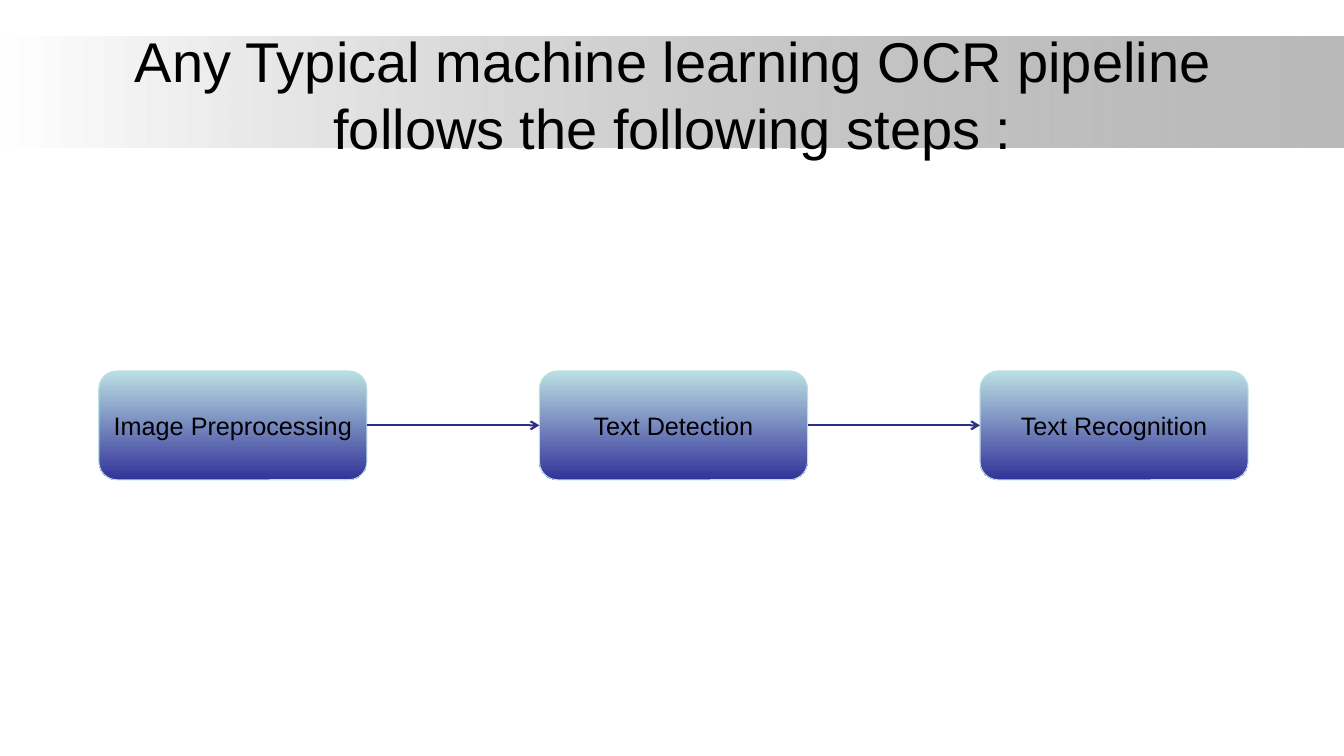
from lxml import etree
from pptx import Presentation
from pptx.dml.color import RGBColor
from pptx.enum.shapes import MSO_CONNECTOR, MSO_SHAPE
from pptx.enum.text import MSO_ANCHOR, MSO_AUTO_SIZE, PP_ALIGN
from pptx.oxml.ns import qn
from pptx.util import Inches, Pt

RECTANGLE, ROUNDED = MSO_SHAPE.RECTANGLE, MSO_SHAPE.ROUNDED_RECTANGLE
STRAIGHT = MSO_CONNECTOR.STRAIGHT
MIDDLE, CENTER = MSO_ANCHOR.MIDDLE, PP_ALIGN.CENTER
NO_AUTOFIT = MSO_AUTO_SIZE.NONE

COLORS = {"white": "FFFFFF", "gray": "808080", "black": "000000",
          "aqua": "BBE0E3", "indigo": "333399", "arrow": "2D2D8A"}
FONT = "Arial"
TITLE = "Any Typical machine learning OCR pipeline follows the following steps :"
STEPS = ["Image Preprocessing", "Text Detection", "Text Recognition"]

STEP_LEFT, STEP_TOP, STEP_PITCH = 0.98, 3.68, 4.37
STEP_WIDTH, STEP_HEIGHT = 2.66, 1.08
LEFT_SITE, RIGHT_SITE = 1, 3


def fill_gradient(shape, first, last, angle):
    """Fill with two colours; the angle runs counter-clockwise."""
    shape.shadow.inherit = False
    shape.fill.gradient()
    shape.fill.gradient_angle = angle
    for stop, name in zip(shape.fill.gradient_stops, (first, last)):
        stop.color.rgb = RGBColor.from_string(COLORS[name])


def write_centered(shape, text, size):
    frame = shape.text_frame
    frame.auto_size = NO_AUTOFIT
    frame.vertical_anchor = MIDDLE
    para = frame.paragraphs[0]
    para.alignment = CENTER
    span = para.add_run()
    span.text = text
    span.font.name = FONT
    span.font.size = Pt(size)
    span.font.color.rgb = RGBColor.from_string(COLORS["black"])
    return frame


deck = Presentation()
deck.slide_width, deck.slide_height = Inches(13.33), Inches(7.5)
page = deck.slides.add_slide(deck.slide_layouts[5])
shapes = page.shapes

# Title over a fading band
title = shapes.title
title.left, title.top = Inches(0.67), Inches(0.3)
title.width, title.height = Inches(12), Inches(1.25)
write_centered(title, TITLE, 40).word_wrap = True

band = shapes.add_shape(RECTANGLE, 0, Inches(0.36), deck.slide_width, Inches(1.1))
fill_gradient(band, "white", "gray", 0)
band.line.fill.background()
gray = band.element.spPr.findall(".//" + qn("a:srgbClr"))[-1]
etree.SubElement(gray, qn("a:alpha"), val="54000")
title.element.addprevious(band.element)

# Pipeline steps
boxes = []
for column, step in enumerate(STEPS):
    box = shapes.add_shape(ROUNDED, Inches(STEP_LEFT + column * STEP_PITCH),
                           Inches(STEP_TOP), Inches(STEP_WIDTH), Inches(STEP_HEIGHT))
    fill_gradient(box, "aqua", "indigo", 270)
    box.line.color.rgb = RGBColor.from_string(COLORS["aqua"])
    box.line.width = Pt(0.75)
    write_centered(box, step, 18).word_wrap = False
    boxes.append(box)

# Arrows between neighbouring steps
for source, target in zip(boxes, boxes[1:]):
    arrow = shapes.add_connector(STRAIGHT, 0, 0, 0, 0)
    arrow.begin_connect(source, RIGHT_SITE)
    arrow.end_connect(target, LEFT_SITE)
    arrow.line.color.rgb = RGBColor.from_string(COLORS["arrow"])
    arrow.line.width = Pt(1.5)
    etree.SubElement(arrow.line._get_or_add_ln(), qn("a:tailEnd"), type="arrow")
    etree.SubElement(arrow.element.spPr, qn("a:effectLst"))

deck.save("out.pptx")
